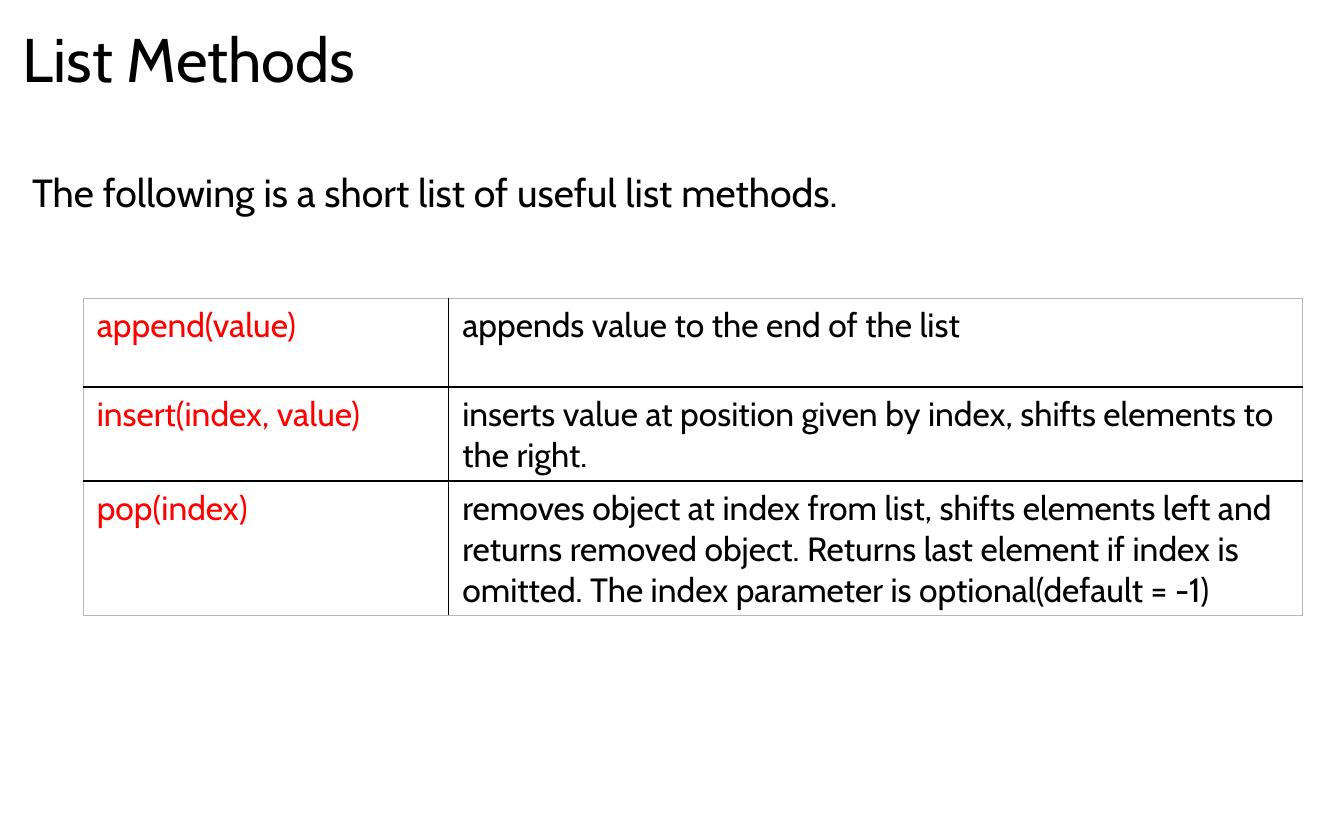
from typing import NamedTuple

from lxml import etree
from pptx import Presentation
from pptx.dml import color
from pptx.enum import text
from pptx.oxml import ns
from pptx.util import Inches, Pt

FONT = "Cabin"
BLACK, RED, GRAY = "000000", "FF0000", "B7B7B7"


class Method(NamedTuple):
    """A list method and what it does."""
    call: str
    effect: str


METHODS = [
    Method("append(value)", "appends value to the end of the list"),
    Method("insert(index, value)",
           "inserts value at position given by index, shifts elements to the right."),
    Method("pop(index)",
           "removes object at index from list, shifts elements left and returns "
           "removed object. Returns last element if index is omitted. "
           "The index parameter is optional(default = -1)"),
]


def write(frame, words: str, *, size: float, ink: str = BLACK,
          spacing: float = 1.0) -> None:
    """Put one formatted paragraph in a text frame."""
    frame.word_wrap = True
    para = frame.paragraphs[0]
    para.alignment = text.PP_ALIGN.LEFT
    para.line_spacing = spacing
    span = para.add_run()
    span.text = words
    span.font.name = FONT
    span.font.size = Pt(size)
    span.font.bold = False
    span.font.color.rgb = color.RGBColor.from_string(ink)


def place(box, left: float, top: float, width: float, height: float) -> None:
    """Move and size a shape, in inches."""
    box.left, box.top = Inches(left), Inches(top)
    box.width, box.height = Inches(width), Inches(height)


def border(cell, sides: dict[str, tuple[str, float]]) -> None:
    """Draw the cell's edges, given as side to colour and width."""
    props = cell._tc.get_or_add_tcPr()
    for position, side in enumerate("LRTB"):
        ink, width = sides[side]
        line = etree.Element(ns.qn(f"a:ln{side}"), w=str(Pt(width)))
        fill = etree.SubElement(line, ns.qn("a:solidFill"))
        etree.SubElement(fill, ns.qn("a:srgbClr"), val=ink)
        props.insert(position, line)


def add_methods(page, methods: list[Method]) -> None:
    """Add the table of methods, one row each."""
    frame = page.shapes.add_table(len(methods), 2, Inches(0.62), Inches(2.22),
                                  Inches(9.07), Inches(0.66 * len(methods)))
    table = frame.table
    table.first_row = table.horz_banding = False
    for column, width in zip(table.columns, (2.72, 6.35)):
        column.width = Inches(width)
    outer, rule, divider = (GRAY, 1), (BLACK, 1), (BLACK, 0.75)
    last = len(methods) - 1
    for row, method in enumerate(methods):
        for column, (words, ink) in enumerate(zip(method, (RED, BLACK))):
            cell = table.cell(row, column)
            cell.fill.background()
            write(cell.text_frame, words, size=18, ink=ink)
            border(cell, {"L": divider if column else outer,
                          "R": outer if column else divider,
                          "T": rule if row else outer,
                          "B": rule if row < last else outer})


def main() -> None:
    """Build the slide and save it."""
    deck = Presentation()
    deck.slide_width, deck.slide_height = Inches(10), Inches(6.25)
    page = deck.slides.add_slide(deck.slide_layouts[5])
    title = page.shapes.title
    place(title, 0.07, 0.09, 7.71, 0.75)
    title.text_frame.vertical_anchor = text.MSO_ANCHOR.MIDDLE
    write(title.text_frame, "List Methods", size=33, spacing=0.9)
    intro = page.shapes.add_textbox(0, 0, 0, 0)
    place(intro, 0.14, 1.24, 9.79, 0.45)
    write(intro.text_frame, "The following is a short list of useful list methods.",
          size=21, spacing=0.9)
    add_methods(page, METHODS)
    deck.save("out.pptx")


main()
